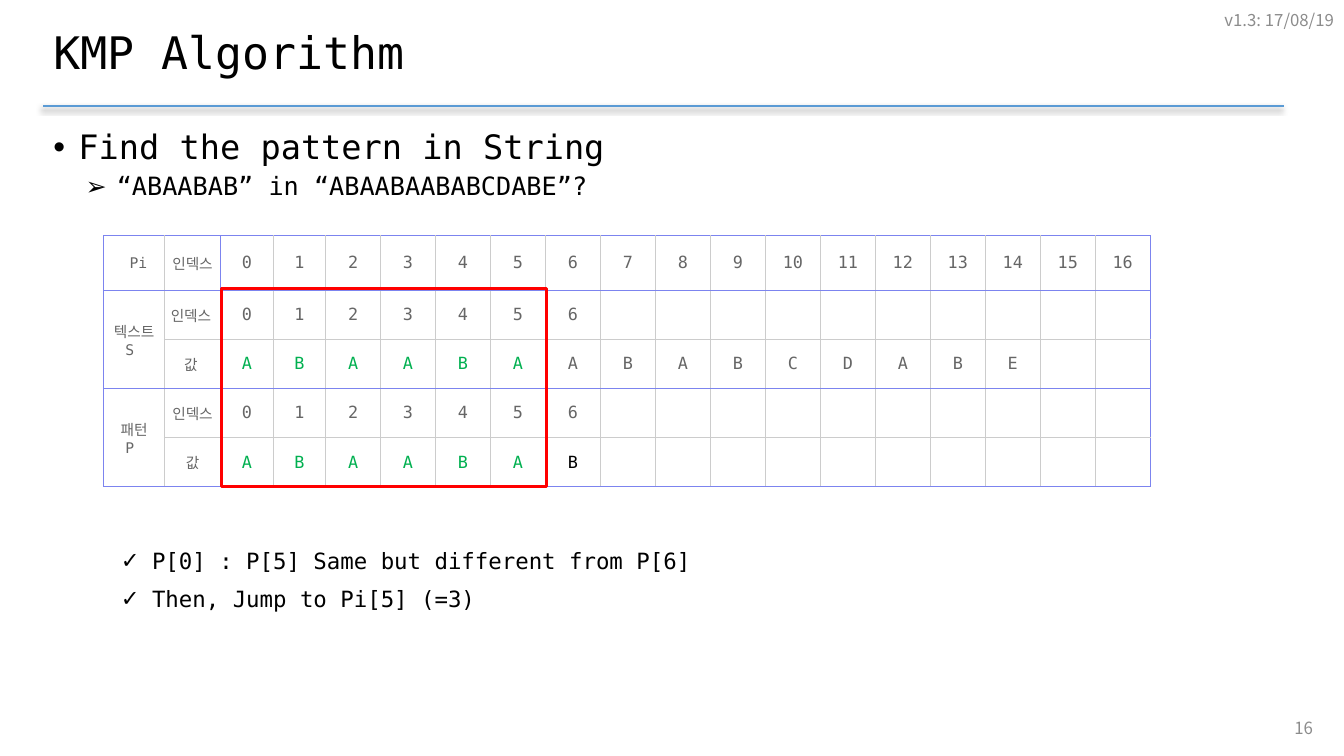
from dataclasses import dataclass
from typing import Optional

from lxml import etree
from pptx import Presentation
from pptx.dml.color import RGBColor
from pptx.enum.shapes import MSO_CONNECTOR, MSO_SHAPE
from pptx.enum.text import MSO_ANCHOR, PP_ALIGN
from pptx.oxml.ns import qn
from pptx.util import Inches, Pt

COLORS = {"black": "000000", "muted": "8C8C8C", "cell": "666666", "match": "00B050",
          "rule": "5B9BD5", "edge": "7C84EF", "grid": "CCCCCC", "frame": "FF0000",
          "white": "FFFFFF"}
MONO, KOREAN = "DejaVu Sans Mono", "Noto Sans CJK KR"
NBSP = "\u00a0"


@dataclass
class Para:
    text: str
    size: float
    color: str = "black"
    font: str = MONO
    align: Optional[PP_ALIGN] = None
    line_spacing: float = 1.0
    before: float = 0
    after: float = 0
    bullet: str = ""
    indent: float = 0
    hang: float = 0


@dataclass
class TextBlock:
    left: float
    top: float
    width: float
    height: float
    paras: list[Para]
    anchor: MSO_ANCHOR = MSO_ANCHOR.MIDDLE


def rgb(name: str) -> RGBColor:
    return RGBColor.from_string(COLORS[name])


def write(frame, paras: list[Para]) -> None:
    for i, spec in enumerate(paras):
        p = frame.paragraphs[0] if i == 0 else frame.add_paragraph()
        p.alignment = spec.align
        p.line_spacing = spec.line_spacing
        p.space_before, p.space_after = Pt(spec.before), Pt(spec.after)
        if spec.bullet:
            props = p._p.get_or_add_pPr()
            props.set("marL", str(Inches(spec.indent)))
            props.set("indent", str(-Inches(spec.hang)))
            etree.SubElement(props, qn("a:buFont")).set("typeface", "Arial")
            etree.SubElement(props, qn("a:buChar")).set("char", spec.bullet)
        run = p.add_run()
        run.text = spec.text
        run.font.size, run.font.name = Pt(spec.size), spec.font
        run.font.color.rgb = rgb(spec.color)
        etree.SubElement(run._r.get_or_add_rPr(), qn("a:ea")).set("typeface", KOREAN)


def add_text(slide, block: TextBlock) -> None:
    box = slide.shapes.add_textbox(Inches(block.left), Inches(block.top),
                                   Inches(block.width), Inches(block.height))
    box.text_frame.word_wrap = True
    box.text_frame.vertical_anchor = block.anchor
    write(box.text_frame, block.paras)


def add_border(cell, side: str, color: str) -> None:
    line = etree.SubElement(cell._tc.get_or_add_tcPr(), qn(f"a:ln{side}"), w=str(Pt(0.75)))
    fill = etree.SubElement(line, qn("a:solidFill"))
    etree.SubElement(fill, qn("a:srgbClr"), val=COLORS[color])


def style_cell(cell, row: int, col: int) -> None:
    def horizontal(line: int) -> str:
        return "edge" if col == 0 or line in EDGE_ROWS else "grid"

    def vertical(line: int) -> str:
        return "edge" if line in EDGE_COLS else "grid"

    for side, color in (("L", vertical(col)), ("R", vertical(col + 1)),
                        ("T", horizontal(row)), ("B", horizontal(row + 1))):
        add_border(cell, side, color)
    cell.fill.solid()
    cell.fill.fore_color.rgb = rgb("white")
    cell.vertical_anchor = MSO_ANCHOR.MIDDLE
    cell.margin_left = cell.margin_right = cell.margin_top = cell.margin_bottom = 0


def cell_color(row: int, col: int) -> str:
    if row in VALUE_ROWS and 2 <= col < 2 + MATCHED:
        return "match"
    return "black" if row == 4 and col == 2 + MATCHED else "cell"


prs = Presentation()
prs.slide_width, prs.slide_height = Inches(13.33), Inches(7.5)
slide = prs.slides.add_slide(prs.slide_layouts[6])

# Rule under the title
rule = slide.shapes.add_connector(MSO_CONNECTOR.STRAIGHT, Inches(0.43), Inches(1.05),
                                  Inches(12.74), Inches(1.05))
rule.line.color.rgb, rule.line.width = rgb("rule"), Pt(1.5)
effects = etree.SubElement(rule._element.spPr, qn("a:effectLst"))
shadow = etree.SubElement(effects, qn("a:outerShdw"), blurRad=str(Pt(4)), dist=str(Pt(3)),
                          dir=str(135 * 60000), algn="tr", rotWithShape="0")
shade = etree.SubElement(shadow, qn("a:srgbClr"), val=COLORS["black"])
etree.SubElement(shade, qn("a:alpha"), val="40000")

# Title, bullets, version and page number
check = dict(size=16, before=5, after=3, bullet="✓", indent=0.98, hang=0.31)
small = dict(size=12, color="muted", font=KOREAN, align=PP_ALIGN.RIGHT)
for block in (
    TextBlock(0.43, 0.18, 12.31, 0.74, [Para("KMP Algorithm", 32, line_spacing=0.9)]),
    TextBlock(0.43, 1.25, 12.31, 0.9, [
        Para("Find the pattern in String", 24, line_spacing=0.9, before=10,
             bullet="•", indent=0.25, hang=0.25),
        Para("“ABAABAB” in “ABAABAABABCDABE”?", 18, line_spacing=0.9, before=5,
             bullet="➢", indent=0.63, hang=0.31)], MSO_ANCHOR.TOP),
    TextBlock(0.43, 5.38, 12.31, 0.8, [
        Para("P[0] : P[5] Same but different from P[6]", **check),
        Para("Then, Jump to Pi[5] (=3)", **check)], MSO_ANCHOR.TOP),
    TextBlock(8.83, 0, 4.5, 0.4, [Para("v1.3: 17/08/19", **small)]),
    TextBlock(10.12, 7.02, 3, 0.4, [Para("16", **small)]),
):
    add_text(slide, block)

# Matching table
TEXT, PATTERN, MATCHED = "ABAABAABABCDABE", "ABAABAB", 6
VALUE_ROWS, EDGE_ROWS, EDGE_COLS = (2, 4), (0, 1, 3, 5), (0, 2, 19)
LEFT, TOP, WIDTH, HEIGHT = 1.03, 2.34, 10.38, 2.49
lead_widths = [0.6, 0.56, 0.52, 0.52]
widths = lead_widths + [(WIDTH - sum(lead_widths)) / 15] * 15
heights = [0.54] + [(HEIGHT - 0.54) / 4] * 4
pattern_indexes = [str(i) for i in range(len(PATTERN))]
rows = [
    [NBSP + "Pi", "인덱스", *(str(i) for i in range(17))],
    ["텍스트\nS" + NBSP, "인덱스" + NBSP, *pattern_indexes],
    ["", "값" + NBSP, *TEXT],
    ["패턴\nP" + NBSP, "인덱스", *pattern_indexes],
    ["", "값", *PATTERN],
]
graphic = slide.shapes.add_table(len(rows), len(widths), Inches(LEFT), Inches(TOP),
                                 Inches(WIDTH), Inches(HEIGHT))
table = graphic.table
table.first_row = table.horz_banding = False
for column, width in zip(table.columns, widths):
    column.width = Inches(width)
for table_row, height in zip(table.rows, heights):
    table_row.height = Inches(height)
for first in (1, 3):
    table.cell(first, 0).merge(table.cell(first + 1, 0))
for r, texts in enumerate(rows):
    for c in range(len(widths)):
        cell = table.cell(r, c)
        if cell.is_spanned:
            continue
        style_cell(cell, r, c)
        if c < len(texts):
            write(cell.text_frame, [
                Para(line, 10.5 if c < 2 else 12, cell_color(r, c), align=PP_ALIGN.CENTER)
                for line in texts[c].split("\n")])

# Frame around the matched characters
frame = slide.shapes.add_shape(MSO_SHAPE.RECTANGLE, Inches(2.2), Inches(2.86),
                               Inches(3.22), Inches(1.97))
frame.shadow.inherit = False
frame.fill.background()
frame.line.color.rgb, frame.line.width = rgb("frame"), Pt(2.25)

prs.save("out.pptx")
